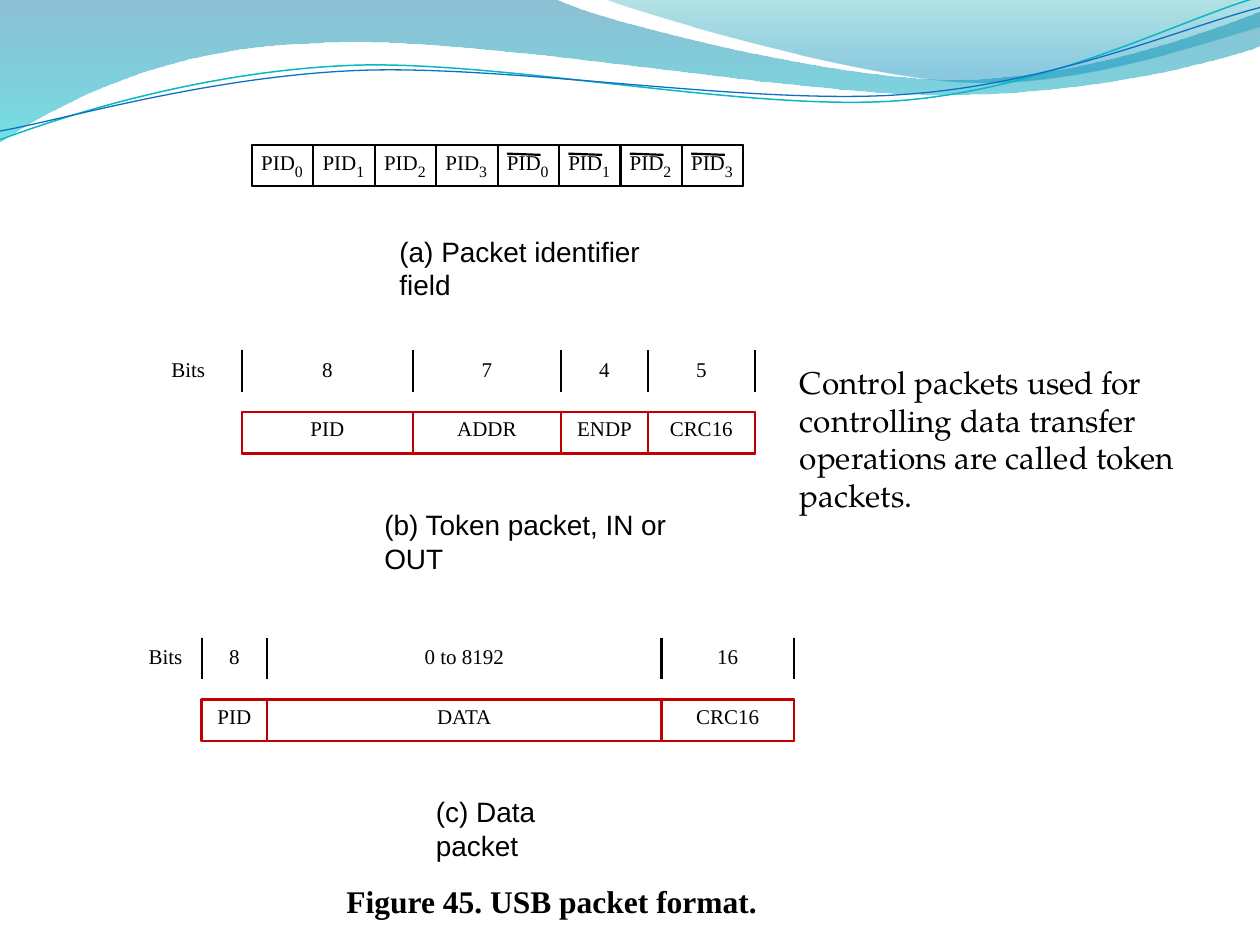
from dataclasses import dataclass
from itertools import accumulate, pairwise

from lxml.etree import Element, SubElement
from pptx import Presentation
from pptx.dml.color import RGBColor
from pptx.enum.shapes import MSO_CONNECTOR, MSO_SHAPE
from pptx.enum.text import PP_ALIGN
from pptx.oxml.ns import qn
from pptx.util import Inches, Pt


@dataclass(frozen=True)
class Theme:
    ink: str = "000000"
    paper: str = "FFFFFF"
    red: str = "C00000"
    teal: str = "0AB8BF"
    blue: str = "0F6FC6"
    serif: str = "Times New Roman"
    sans: str = "Arial"
    book: str = "TeX Gyre Pagella"
    small: int = 12
    sub: int = 9
    note: int = 16
    large: int = 18
    line: float = 1.25


T = Theme()
WIDE, HIGH = 10, 7.5
UNITS = 1000  # freeform units to the inch

# Each wave is a start point, then straight (2 numbers) or curved (6) steps.
BAND = [(0, 0), (4.4, -0.01), (4.76, 0.17, 6.64, 0.63, 7.58, 0.63),
        (8.53, 0.63, 9.58, 0.26, 10, 0.09), (10.01, 0.36),
        (9.83, 0.44, 8.7, 0.76, 7.46, 0.75), (6.22, 0.75, 3.82, 0.28, 2.57, 0.34),
        (1.29, 0.36, 0.46, 0.83, -0.01, 1.13)]
CREST = [(4.79, -0.01), (5.09, 0.11, 6.82, 0.62, 7.69, 0.65),
         (8.56, 0.69, 9.61, 0.32, 10, 0.21), (10, 0)]
UPPER = [(0, 1.11), (0.48, 0.93, 1.58, 0.57, 2.77, 0.52),
         (3.95, 0.47, 5.93, 0.89, 7.13, 0.8), (8.33, 0.71, 9.38, 0.15, 9.98, -0.02)]
LOWER = [(0, 1.04), (0.47, 0.96, 1.64, 0.61, 2.83, 0.56),
         (4.03, 0.51, 5.97, 0.84, 7.17, 0.75), (8.36, 0.67, 9.41, 0.21, 10, 0.06)]


def tint(code):
    return RGBColor.from_string(code)


def bend(shape, steps):
    """Join each three lines of a curved step into one cubic curve."""
    lines = iter(list(shape._element.spPr.iter(qn("a:lnTo"))))
    for step in steps:
        group = [next(lines) for _ in range(len(step) // 2)]
        if len(group) == 3:
            curve = Element(qn("a:cubicBezTo"))
            group[0].addprevious(curve)
            for line in group:
                curve.append(line[0])
                line.getparent().remove(line)


def wave(slide, steps, close):
    first, *rest = steps
    pen = slide.shapes.build_freeform(*(round(v * UNITS) for v in first),
                                      scale=Inches(1) / UNITS)
    knots = [(round(step[i] * UNITS), round(step[i + 1] * UNITS))
             for step in rest for i in range(0, len(step), 2)]
    pen.add_line_segments(knots, close=close)
    shape = pen.convert_to_shape()
    shape.shadow.inherit = False
    bend(shape, rest)
    return shape


def fade(slide, steps, stops):
    """Draw a closed wave with a see-through gradient from top to bottom."""
    shape = wave(slide, steps, True)
    shape.line.fill.background()
    shape.fill.gradient()
    shape.fill.gradient_angle = 270
    for stop, (place, code, _) in zip(shape.fill.gradient_stops, stops):
        stop.position = place
        stop.color.rgb = tint(code)
    shades = shape._element.spPr.iter(qn("a:srgbClr"))
    for shade, (_, _, alpha) in zip(list(shades), stops):
        SubElement(shade, qn("a:alpha"), val=str(alpha * 1000))


def header(slide):
    fade(slide, BAND, [(0, "0074A1", 45), (1, "00C6CF", 55)])
    fade(slide, CREST, [(0, "00A1A9", 30), (0.8, "008BBF", 45)])
    for steps, code, width in ((UPPER, T.teal, 0.85), (LOWER, T.blue, 0.75)):
        shape = wave(slide, steps, False)
        shape.fill.background()
        shape.line.color.rgb = tint(code)
        shape.line.width = Pt(width)


def label(slide, box, text, size=T.small, font=T.serif, bold=False,
          align=PP_ALIGN.LEFT, wrap=False, pad=(0, 0)):
    frame = slide.shapes.add_textbox(*map(Inches, box)).text_frame
    frame.word_wrap = wrap
    frame.margin_left = frame.margin_right = Inches(pad[0])
    frame.margin_top = frame.margin_bottom = Inches(pad[1])
    para = frame.paragraphs[0]
    para.alignment = align
    run = para.add_run()
    run.text = text
    run.font.size, run.font.name, run.font.bold = Pt(size), font, bold
    run.font.color.rgb = tint(T.ink)


def cell(slide, box, code, fill=None):
    shape = slide.shapes.add_shape(MSO_SHAPE.RECTANGLE, *map(Inches, box))
    shape.shadow.inherit = False
    shape.line.color.rgb = tint(code)
    shape.line.width = Pt(T.line)
    if fill:
        shape.fill.solid()
        shape.fill.fore_color.rgb = tint(fill)
    else:
        shape.fill.background()


def rule(slide, *ends):
    line = slide.shapes.add_connector(MSO_CONNECTOR.STRAIGHT, *map(Inches, ends))
    line.line.color.rgb = tint(T.ink)
    line.line.width = Pt(T.line)
    SubElement(line._element.spPr, qn("a:effectLst"))


def caption(slide, box, text):
    label(slide, box, text, T.note, T.sans, wrap=True)


def ident(slide, box):
    """Draw the eight identifier bits; the last four are barred."""
    left, top, wide, high = box
    step = wide / 8
    cell(slide, box, T.ink, T.paper)
    for i in range(8):
        x = left + i * step
        cell(slide, (x, top, step, high), T.ink)
        label(slide, (x + 0.15 * step, top + 0.12 * high, 0.36, 0.27), "PID")
        label(slide, (x + 0.7 * step, top + 0.4 * high, 0.14, 0.22), str(i % 4), T.sub)
        if i >= 4:
            y = top + 0.21 * high
            rule(slide, x + 0.15 * step, y, x + 0.7 * step, y + 0.01)


def packet(slide, box, sizes, bits, names, gap):
    """Draw ticks with bit counts over a row of named cells."""
    left, top, wide, high = box
    row, deep = top + 0.6 * high, 0.4 * high
    unit = wide / sum(sizes)
    edges = [left + unit * size for size in accumulate(sizes, initial=0)]
    for x in edges:
        rule(slide, x, top + deep, x, top)
    label(slide, (left - gap, top + 0.06 * high, 0.36, 0.27), "Bits")
    for (x, end), bit, name in zip(pairwise(edges), bits, names):
        cell(slide, (x, row, end - x, deep), T.red)
        for y, text in ((top, bit), (row - 0.02, name)):
            label(slide, (x, y + 0.06 * high, end - x, 0.27), text,
                  align=PP_ALIGN.CENTER, wrap=True)
    cell(slide, (left, row, wide, deep), T.red)


def main():
    deck = Presentation()
    deck.slide_width, deck.slide_height = Inches(WIDE), Inches(HIGH)
    slide = deck.slides.add_slide(deck.slide_layouts[6])
    header(slide)
    ident(slide, (2, 1.15, 3.9, 0.33))
    caption(slide, (3.17, 1.86, 2.29, 0.27), "(a) Packet identifier field")
    packet(slide, (1.92, 2.78, 4.07, 0.82), (1.36, 1.18, 0.69, 0.85),
           ("8", "7", "4", "5"), ("PID", "ADDR", "ENDP", "CRC16"), 0.56)
    caption(slide, (3.05, 4.03, 2.45, 0.27), "(b) Token packet, IN or OUT")
    packet(slide, (1.6, 5.06, 4.7, 0.82), (0.52, 3.13, 1.05),
           ("8", "0 to 8192", "16"), ("PID", "DATA", "CRC16"), 0.42)
    caption(slide, (3.46, 6.31, 1.36, 0.27), "(c) Data packet")
    label(slide, (2.75, 7, 3.33, 0.3), "Figure 45. USB packet format.",
          T.large, bold=True)
    label(slide, (6.25, 2.83, 3.33, 1.31),
          "Control packets used for controlling data transfer operations "
          "are called token packets.", T.large, T.book, wrap=True, pad=(0.1, 0.05))
    deck.save("out.pptx")


if __name__ == "__main__":
    main()
